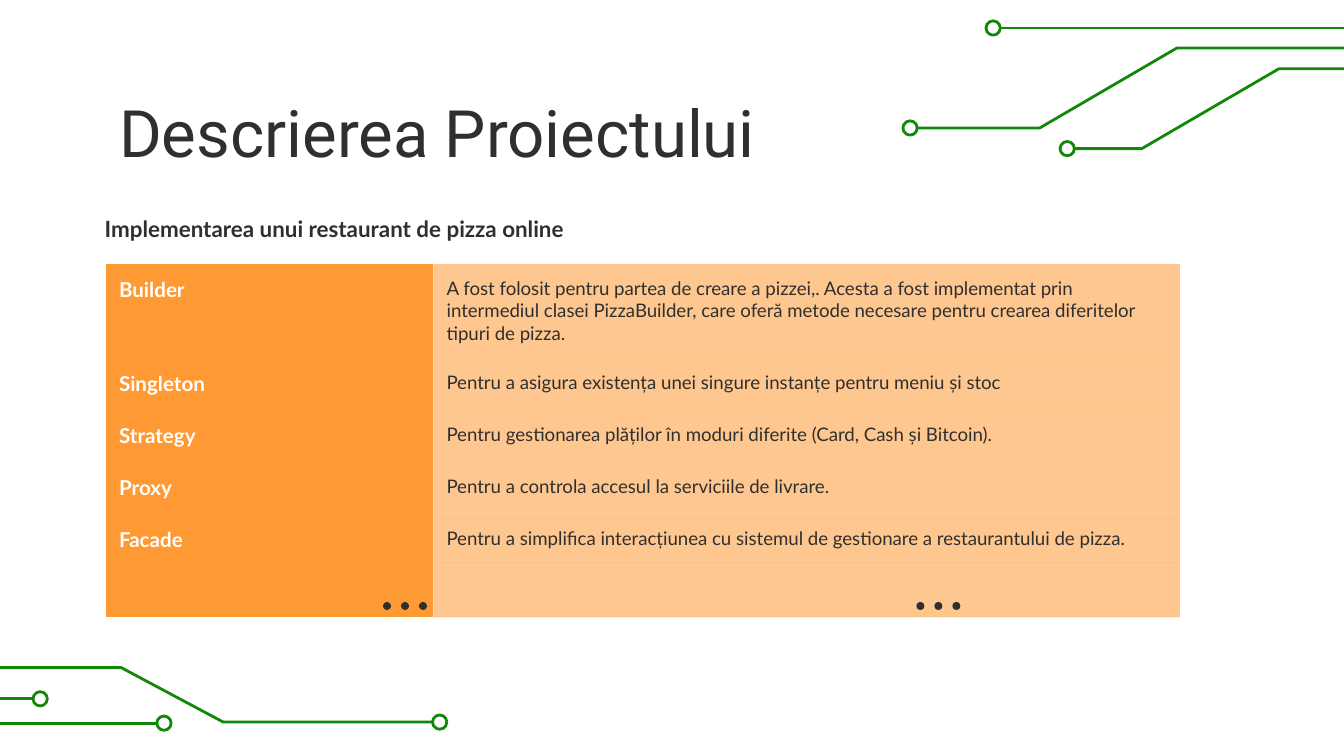
from dataclasses import dataclass

import lxml.etree
import pptx
import pptx.dml.color
import pptx.enum.shapes
import pptx.enum.text
import pptx.oxml.ns
import pptx.shapes.autoshape
import pptx.slide
import pptx.table
import pptx.text.text
import pptx.util

Cm = pptx.util.Cm
Pt = pptx.util.Pt
RGBColor = pptx.dml.color.RGBColor
qn = pptx.oxml.ns.qn

GREEN = RGBColor(0x13, 0x88, 0x08)
ORANGE = RGBColor(0xFF, 0x99, 0x33)
DARK = RGBColor(0x30, 0x2F, 0x2F)
WHITE = RGBColor(0xFF, 0xFF, 0xFF)

SLIDE_WIDTH = 25.4
SLIDE_HEIGHT = 14.29
INSET = 0.25
RING_SIZE = 0.27
TRACE_WIDTH = Pt(1.5)
DOT_SIZE = 0.15
DOT_STEP = 0.34
DOT_TOP = 11.38
NO_TABLE_STYLE = "{2D5ABB26-0587-4C30-8999-92F81FD0307C}"


@dataclass(frozen=True)
class Trace:
    ring_x: float
    ring_y: float
    direction: int
    corners: tuple[tuple[float, float], ...]


@dataclass(frozen=True)
class Pattern:
    name: str
    purpose: str
    height: float = 0.98


TRACES = (
    Trace(3.1, 13.67, -1, ((0, 13.67),)),
    Trace(0.76, 13.21, -1, ((0, 13.21),)),
    Trace(8.31, 13.65, -1, ((4.22, 13.65), (2.29, 12.62), (0, 12.62))),
    Trace(17.2, 2.42, 1, ((19.65, 2.42), (22.24, 0.91), (SLIDE_WIDTH, 0.91))),
    Trace(20.17, 2.81, 1, ((21.58, 2.81), (24.17, 1.3), (SLIDE_WIDTH, 1.3))),
    Trace(18.77, 0.53, 1, ((SLIDE_WIDTH, 0.53),)),
)

PATTERNS = (
    Pattern(
        "Builder",
        "A fost folosit pentru partea de creare a pizzei,. Acesta a fost implementat prin "
        "intermediul clasei PizzaBuilder, care oferă metode necesare pentru crearea "
        "diferitelor tipuri de pizza.",
        1.78,
    ),
    Pattern("Singleton", "Pentru a asigura existența unei singure instanțe pentru meniu și stoc"),
    Pattern("Strategy", "Pentru gestionarea plăților în moduri diferite (Card, Cash și Bitcoin)."),
    Pattern("Proxy", "Pentru a controla accesul la serviciile de livrare."),
    Pattern(
        "Facade",
        "Pentru a simplifica interacțiunea cu sistemul de gestionare a restaurantului de pizza.",
    ),
    Pattern("", ""),
)


def write_text(
    frame: pptx.text.text.TextFrame,
    text: str,
    *,
    size: float,
    color: RGBColor = DARK,
    font_name: str = "Lato",
    bold: bool = False,
) -> None:
    frame.word_wrap = True
    run = frame.paragraphs[0].add_run()
    run.text = text
    run.font.size = Pt(size)
    run.font.name = font_name
    run.font.bold = bold
    run.font.color.rgb = color


def add_text_box(
    slide: pptx.slide.Slide, left: float, top: float, width: float, height: float
) -> pptx.text.text.TextFrame:
    frame = slide.shapes.add_textbox(Cm(left), Cm(top), Cm(width), Cm(height)).text_frame
    frame.margin_left = frame.margin_right = Cm(INSET)
    frame.margin_top = frame.margin_bottom = Cm(INSET)
    frame.vertical_anchor = pptx.enum.text.MSO_ANCHOR.TOP
    return frame


def add_circle(
    slide: pptx.slide.Slide, left: float, top: float, size: float
) -> pptx.shapes.autoshape.Shape:
    circle = slide.shapes.add_shape(
        pptx.enum.shapes.MSO_SHAPE.OVAL, Cm(left), Cm(top), Cm(size), Cm(size)
    )
    circle.shadow.inherit = False
    return circle


def outline(shape: pptx.shapes.autoshape.Shape) -> None:
    shape.shadow.inherit = False
    shape.fill.background()
    shape.line.color.rgb = GREEN
    shape.line.width = TRACE_WIDTH


def draw_trace(slide: pptx.slide.Slide, trace: Trace) -> None:
    radius = RING_SIZE / 2
    start_x = trace.ring_x + trace.direction * radius
    builder = slide.shapes.build_freeform(Cm(start_x), Cm(trace.ring_y))
    builder.add_line_segments([(Cm(x), Cm(y)) for x, y in trace.corners], close=False)
    outline(builder.convert_to_shape())
    outline(add_circle(slide, trace.ring_x - radius, trace.ring_y - radius, RING_SIZE))


def draw_ellipsis(slide: pptx.slide.Slide, left: float) -> None:
    for index in range(3):
        dot = add_circle(slide, left + index * DOT_STEP, DOT_TOP, DOT_SIZE)
        dot.fill.solid()
        dot.fill.fore_color.rgb = DARK
        dot.line.fill.background()


def fill_cell(cell: pptx.table._Cell, opacity: int = 100) -> None:
    cell.fill.solid()
    cell.fill.fore_color.rgb = ORANGE
    if opacity < 100:
        color = cell._tc.tcPr.find(f"{qn('a:solidFill')}/{qn('a:srgbClr')}")
        lxml.etree.SubElement(color, qn("a:alpha")).set("val", str(opacity * 1000))


def draw_table(slide: pptx.slide.Slide) -> None:
    height = sum(pattern.height for pattern in PATTERNS)
    table = slide.shapes.add_table(
        len(PATTERNS), 2, Cm(2), Cm(4.99), Cm(20.3), Cm(height)
    ).table
    table.first_row = False
    table.horz_banding = False
    table._tbl.tblPr.find(qn("a:tableStyleId")).text = NO_TABLE_STYLE
    table.columns[0].width = Cm(6.19)
    table.columns[1].width = Cm(14.11)
    for row, pattern in zip(table.rows, PATTERNS):
        row.height = Cm(pattern.height)
        name_cell, purpose_cell = row.cells
        fill_cell(name_cell)
        fill_cell(purpose_cell, opacity=54)
        inset = INSET if pattern.name else 0
        for cell in (name_cell, purpose_cell):
            cell.margin_left = cell.margin_right = Cm(inset)
            cell.margin_top = cell.margin_bottom = Cm(inset)
        if pattern.name:
            write_text(name_cell.text_frame, pattern.name, size=11, color=WHITE, bold=True)
            write_text(purpose_cell.text_frame, pattern.purpose, size=10)


def main() -> None:
    presentation = pptx.Presentation()
    presentation.slide_width = Cm(SLIDE_WIDTH)
    presentation.slide_height = Cm(SLIDE_HEIGHT)
    slide = presentation.slides.add_slide(presentation.slide_layouts[6])

    for trace in TRACES:
        draw_trace(slide, trace)

    title = add_text_box(slide, 2, 1.5, 21.4, 1.6)
    write_text(title, "Descrierea Proiectului", size=35, font_name="Roboto")
    subtitle = add_text_box(slide, 1.73, 3.81, 21.4, 0.89)
    write_text(subtitle, "Implementarea unui restaurant de pizza online", size=12, bold=True)

    draw_table(slide)
    for left in (7.24, 17.32):
        draw_ellipsis(slide, left)

    presentation.save("out.pptx")


if __name__ == "__main__":
    main()
